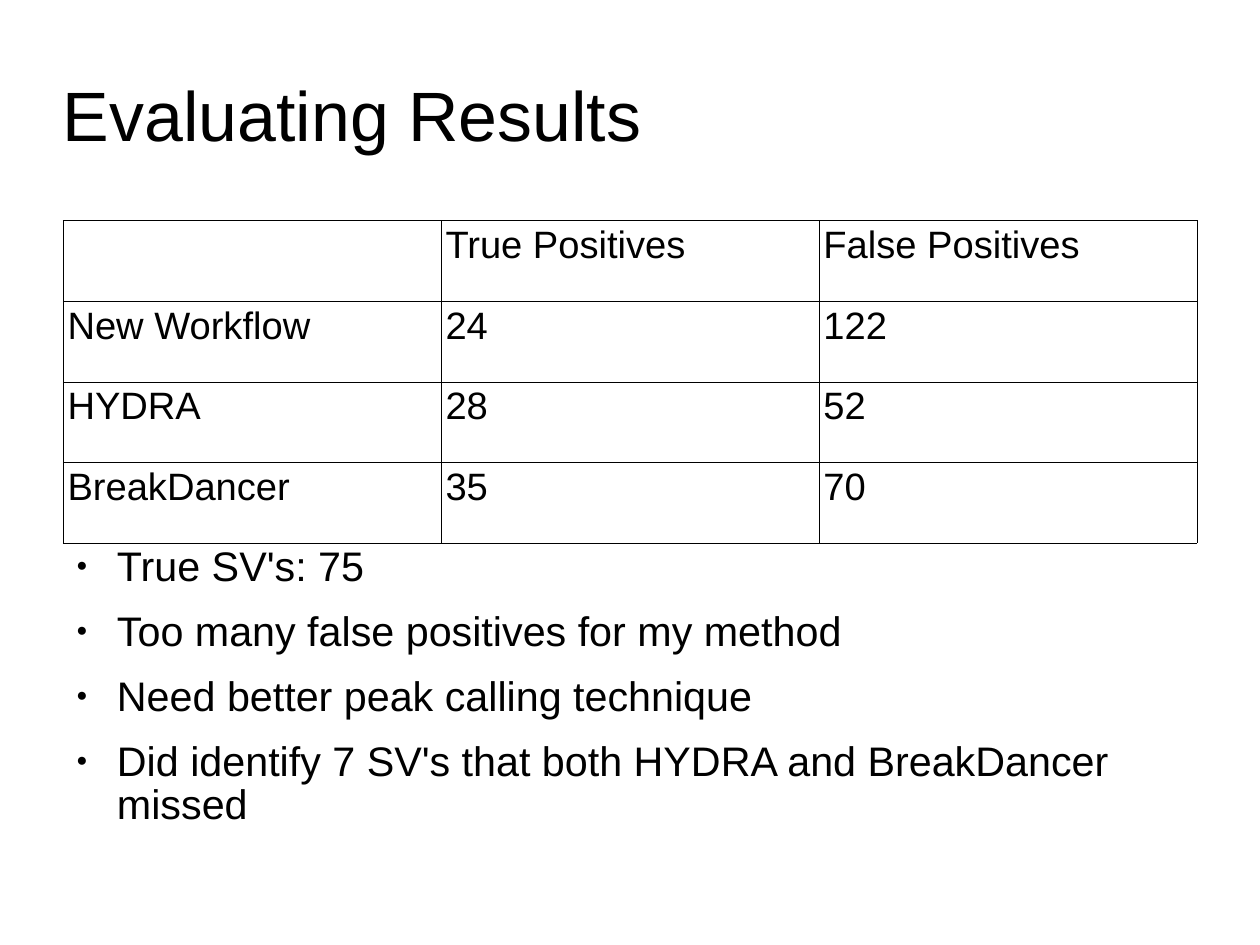
"""Build the Evaluating Results slide with its comparison table and findings."""
from lxml import etree
from pptx import Presentation, util as u
from pptx.dml.color import RGBColor
from pptx.enum import text
from pptx.oxml import ns

BLACK = "000000"
LEFT, WIDTH = u.Cm(1.4), u.Cm(25.2)


def paint(target, color):
    target.rgb = RGBColor.from_string(color)


def write(paragraph, words, size, spacing):
    paragraph.alignment = text.PP_ALIGN.LEFT
    paragraph.line_spacing = spacing
    run = paragraph.add_run()
    run.text = words
    for name, value in {"name": "Arial", "size": u.Pt(size), "bold": False}.items():
        setattr(run.font, name, value)
    paint(run.font.color, BLACK)


deck = Presentation()
deck.slide_width, deck.slide_height = u.Cm(28), u.Cm(21)
slide = deck.slides.add_slide(deck.slide_layouts[5])

heading = slide.shapes.title
findings = slide.shapes.add_textbox(LEFT, u.Cm(12.14), WIDTH, u.Cm(6.76))
for name, value in {"left": LEFT, "top": u.Cm(0.84), "width": WIDTH, "height": u.Cm(3.5)}.items():
    setattr(heading, name, value)
for box, anchor, inset in (
    (heading, text.MSO_ANCHOR.MIDDLE, 0.05),
    (findings, text.MSO_ANCHOR.TOP, 0.03),
):
    frame_format = {
        "word_wrap": True, "auto_size": text.MSO_AUTO_SIZE.NONE, "vertical_anchor": anchor,
        "margin_left": 0, "margin_top": u.Cm(inset), "margin_right": 0, "margin_bottom": 0,
    }
    for name, value in frame_format.items():
        setattr(box.text_frame, name, value)
write(heading.text_frame.paragraphs[0], "Evaluating Results", 44, 0.96)

results = [
    ("", "True Positives", "False Positives"),
    ("New Workflow", "24", "122"),
    ("HYDRA", "28", "52"),
    ("BreakDancer", "35", "70"),
]
comparison = slide.shapes.add_table(
    len(results), len(results[0]), LEFT, u.Cm(4.9), WIDTH, u.Cm(7.16)
).table
comparison.first_row = comparison.horz_banding = False
cell_format = {
    "margin_left": u.Cm(0.1), "margin_right": u.Cm(0.1),
    "margin_top": u.Cm(0.12), "margin_bottom": u.Cm(0.12),
    "vertical_anchor": text.MSO_ANCHOR.TOP,
}
for row, values in enumerate(results):
    for column, value in enumerate(values):
        cell = comparison.cell(row, column)
        for name, setting in cell_format.items():
            setattr(cell, name, setting)
        if value:
            write(cell.text_frame.paragraphs[0], value, 24, 0.96)
        properties = cell._tc.get_or_add_tcPr()
        for side in ("lnL", "lnR", "lnT", "lnB"):
            border = etree.SubElement(properties, ns.qn(f"a:{side}"), w=str(u.Pt(0.06)))
            ink = etree.SubElement(border, ns.qn("a:solidFill"))
            etree.SubElement(ink, ns.qn("a:srgbClr"), val=BLACK)
        cell.fill.background()

points = [
    "True SV's: 75",
    "Too many false positives for my method",
    "Need better peak calling technique",
    "Did identify 7 SV's that both HYDRA and BreakDancer missed",
]
for index, point in enumerate(points):
    frame = findings.text_frame
    paragraph = frame.add_paragraph() if index else frame.paragraphs[0]
    write(paragraph, point, 26, 0.86)
    paragraph.space_after = u.Pt(14.1)
    properties = paragraph._p.get_or_add_pPr()
    properties.set("marL", str(u.Cm(1.2)))
    properties.set("indent", str(u.Cm(-0.9)))
    bullet_color = etree.SubElement(properties, ns.qn("a:buClr"))
    etree.SubElement(bullet_color, ns.qn("a:srgbClr"), val=BLACK)
    etree.SubElement(properties, ns.qn("a:buSzPct"), val="45000")
    etree.SubElement(properties, ns.qn("a:buFont"), typeface="Arial")
    etree.SubElement(properties, ns.qn("a:buChar"), char="●")

deck.save("out.pptx")
